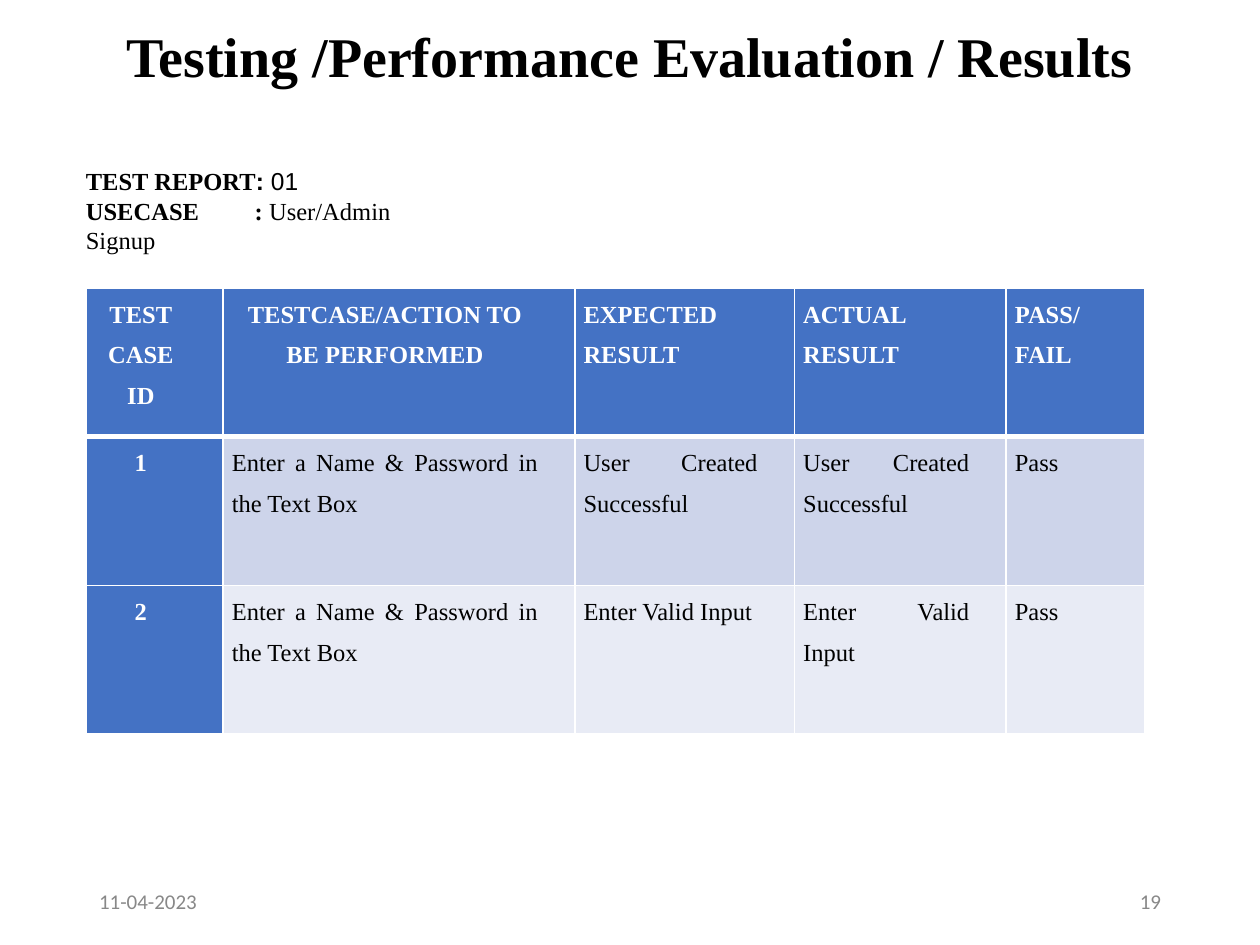
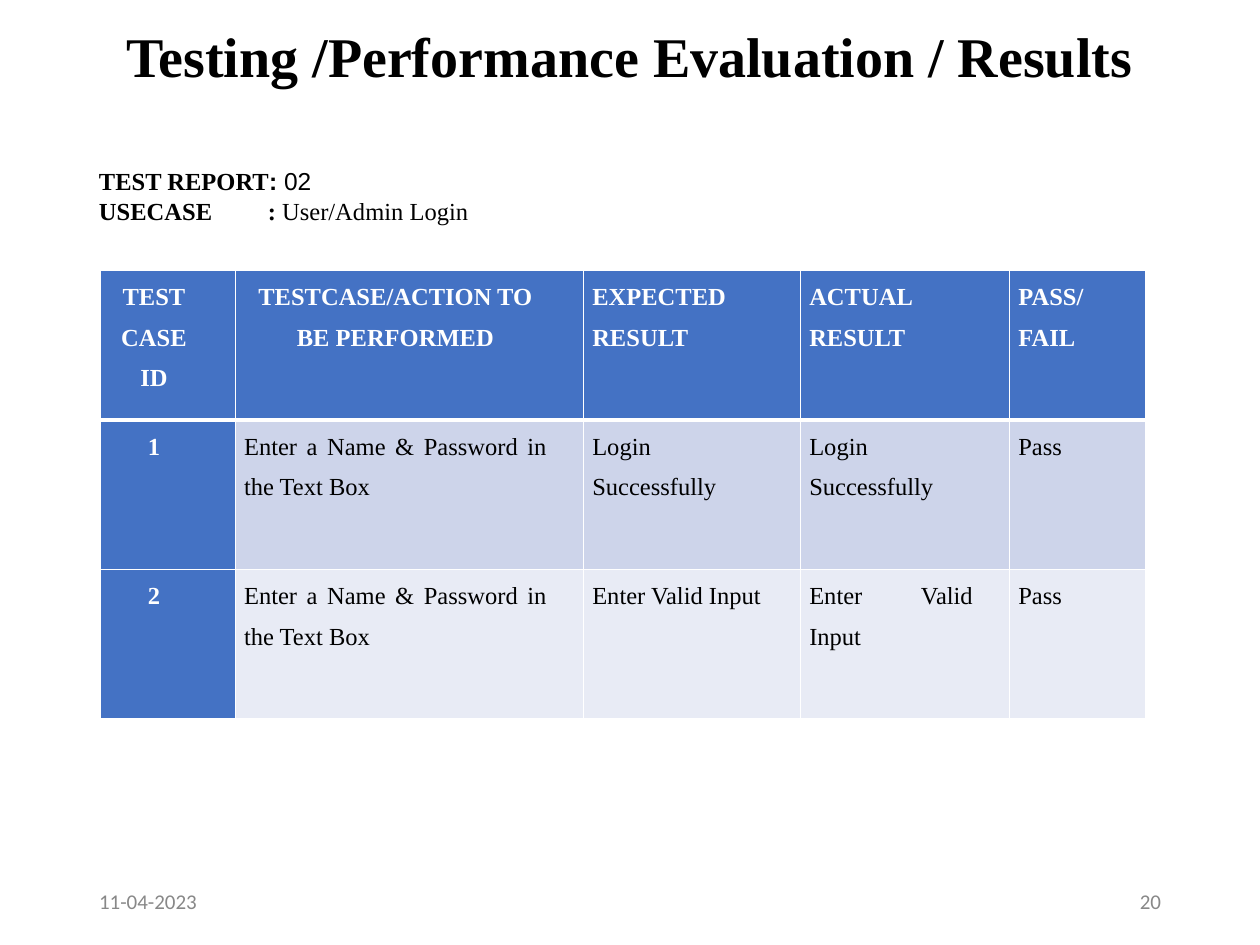
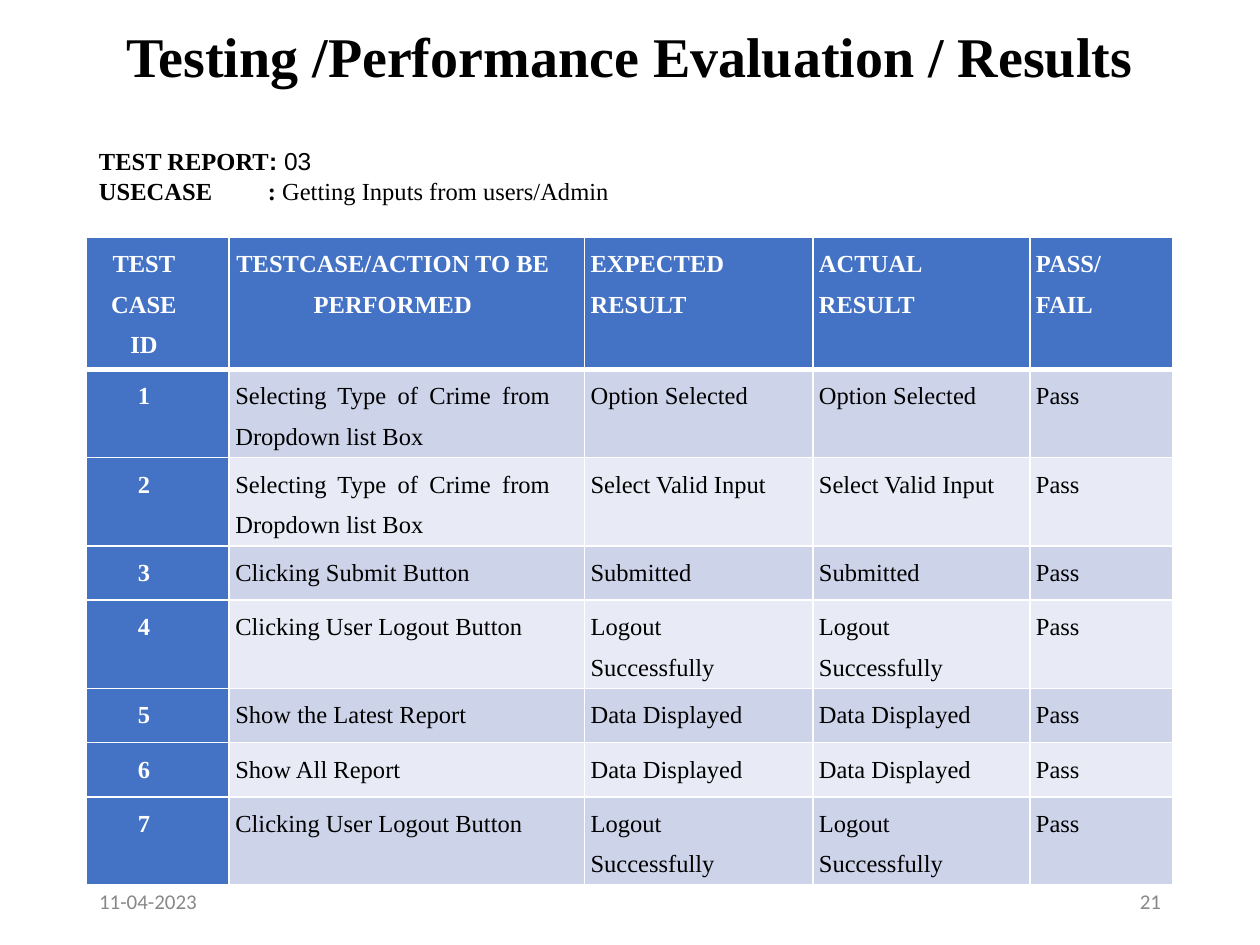
from dataclasses import dataclass

from lxml.etree import SubElement
from pptx import Presentation
from pptx.dml.color import RGBColor
from pptx.enum.text import MSO_ANCHOR, PP_ALIGN
from pptx.oxml import parse_xml
from pptx.oxml.ns import nsdecls, qn
from pptx.util import Pt


@dataclass(frozen=True)
class Theme:
    ink: str = "000000"
    muted: str = "888888"
    white: str = "FFFFFF"
    accent: str = "4472C4"
    bands: tuple = ("CDD4EA", "E8EBF5")
    serif: str = "Times New Roman"
    sans: str = "Arial"
    footer_font: str = "Calibri"
    title_size: float = 32
    body_size: float = 14
    footer_size: float = 12
    grid_line: float = 1
    header_line: float = 3


THEME = Theme()
TITLE = "Testing /Performance Evaluation / Results"
DATE = "11-04-2023"
FIRST_PAGE = 19
LEFT = 49.5
CONTENT_WIDTH = 621
FOOTER_WIDTH = 162
COLON_TAB = 96.5
CELL_INDENT = 16
HEADERS = (
    "TEST\vCASE\vID",
    "TESTCASE/ACTION TO BE PERFORMED",
    "EXPECTED RESULT",
    "ACTUAL RESULT",
    "PASS/ FAIL",
)


@dataclass(frozen=True)
class Report:
    number: str
    usecase: str
    heading_box: tuple
    table_origin: tuple
    columns: tuple
    row_heights: tuple
    cell_inset: float
    cases: tuple


NAME_ENTRY = "Enter a Name & Password in the Text Box"
CRIME_CHOICE = "Selecting Type of Crime from Dropdown list Box"
INVALID_ENTRY = (NAME_ENTRY, "Enter Valid Input")
LOGOUT = ("Clicking User Logout Button", "Logout Successfully")

REPORTS = (
    Report("01", "User/Admin Signup", (42, 91.5, 230), (LEFT, 164.5),
           (78, 201, 125.5, 121, 79), (85, 85), 5,
           ((NAME_ENTRY, "User Created Successful"), INVALID_ENTRY)),
    Report("02", "User/Admin Login", (LEFT, 91.5, 360), (57.5, 154.5),
           (77, 199, 124, 119.5, 78), (85.5, 85.5), 5,
           ((NAME_ENTRY, "Login Successfully"), INVALID_ENTRY)),
    Report("03", "Getting Inputs from users/Admin", (LEFT, 80, 360), (LEFT, 135.5),
           (81.5, 203, 130.5, 124, 82), (47.5, 31), 3.5,
           ((CRIME_CHOICE, "Option Selected"),
            (CRIME_CHOICE, "Select Valid Input"),
            ("Clicking Submit Button", "Submitted"),
            LOGOUT,
            ("Show the Latest Report", "Data Displayed"),
            ("Show All Report", "Data Displayed"),
            LOGOUT)),
)


def style_run(r, size, color, font=THEME.serif, bold=False):
    r.font.size = Pt(size)
    r.font.color.rgb = RGBColor.from_string(color)
    r.font.name = font
    r.font.bold = bold


def add_box(slide, left, top, width, height, anchor=MSO_ANCHOR.MIDDLE):
    tf = slide.shapes.add_textbox(Pt(left), Pt(top), Pt(width), Pt(height)).text_frame
    tf.word_wrap = True
    tf.vertical_anchor = anchor
    return tf


def add_title(slide):
    tf = add_box(slide, LEFT, 13, CONTENT_WIDTH, 42)
    tf.text = TITLE
    p = tf.paragraphs[0]
    p.alignment = PP_ALIGN.CENTER
    p.line_spacing = 0.9
    style_run(p.runs[0], THEME.title_size, THEME.ink, bold=True)


def add_footer(slide, page):
    right = LEFT + CONTENT_WIDTH - FOOTER_WIDTH
    for text, left, align in ((DATE, LEFT, PP_ALIGN.LEFT), (str(page), right, PP_ALIGN.RIGHT)):
        tf = add_box(slide, left, 500.5, FOOTER_WIDTH, 28.5)
        tf.text = text
        p = tf.paragraphs[0]
        p.alignment = align
        style_run(p.runs[0], THEME.footer_size, THEME.muted, THEME.footer_font)


def add_tab_stop(p, position):
    tabs = SubElement(p._p.get_or_add_pPr(), qn("a:tabLst"))
    SubElement(tabs, qn("a:tab"), pos=str(Pt(position)), algn="l")


def add_heading(slide, report):
    left, top, width = report.heading_box
    tf = add_box(slide, left, top, width, 41, MSO_ANCHOR.TOP)
    lines = (
        (("TEST REPORT", THEME.serif, True), (": ", THEME.sans, True),
         (report.number, THEME.sans, False)),
        (("USECASE\t: ", THEME.serif, True), (report.usecase, THEME.serif, False)),
    )
    for p, parts in zip((tf.paragraphs[0], tf.add_paragraph()), lines):
        add_tab_stop(p, COLON_TAB)
        for text, font, bold in parts:
            r = p.add_run()
            r.text = text
            style_run(r, THEME.body_size, THEME.ink, font, bold)


def set_borders(cell, top, bottom):
    tcPr = cell._tc.get_or_add_tcPr()
    sides = (("L", THEME.grid_line), ("R", THEME.grid_line), ("T", top), ("B", bottom))
    for i, (side, width) in enumerate(sides):
        tcPr.insert(i, parse_xml(
            f'<a:ln{side} {nsdecls("a")} w="{Pt(width)}"><a:solidFill>'
            f'<a:srgbClr val="{THEME.white}"/></a:solidFill></a:ln{side}>'))


def fill_cell(cell, text, row, col, inset):
    strong = row == 0 or col == 0
    centered = col == 0 or (row == 0 and col == 1)
    cell.margin_left = cell.margin_right = Pt(inset)
    cell.margin_top = cell.margin_bottom = 0
    cell.fill.solid()
    fill = THEME.accent if strong else THEME.bands[(row - 1) % 2]
    cell.fill.fore_color.rgb = RGBColor.from_string(fill)
    set_borders(cell,
                THEME.header_line if row == 1 else THEME.grid_line,
                THEME.header_line if row == 0 else THEME.grid_line)
    p = cell.text_frame.paragraphs[0]
    p.text = text
    p.alignment = PP_ALIGN.CENTER if centered else PP_ALIGN.JUSTIFY
    p.line_spacing = 1.5
    p._p.get_or_add_pPr().set("marR", str(Pt(CELL_INDENT)))
    for r in p.runs:
        style_run(r, THEME.body_size, THEME.white if strong else THEME.ink, bold=strong)


def add_results_table(slide, report):
    rows = [HEADERS]
    for number, (action, result) in enumerate(report.cases, 1):
        rows.append((str(number), action, result, result, "Pass"))
    header_height, case_height = report.row_heights
    left, top = report.table_origin
    height = header_height + case_height * len(report.cases)
    table = slide.shapes.add_table(len(rows), len(HEADERS), Pt(left), Pt(top),
                                   Pt(sum(report.columns)), Pt(height)).table
    table.horz_banding = False
    for column, width in zip(table.columns, report.columns):
        column.width = Pt(width)
    for i, values in enumerate(rows):
        table.rows[i].height = Pt(case_height if i else header_height)
        for j, text in enumerate(values):
            fill_cell(table.cell(i, j), text, i, j, report.cell_inset)


def main():
    prs = Presentation()
    prs.slide_width, prs.slide_height = Pt(720), Pt(540)
    for page, report in enumerate(REPORTS, FIRST_PAGE):
        slide = prs.slides.add_slide(prs.slide_layouts[6])
        add_title(slide)
        add_footer(slide, page)
        add_heading(slide, report)
        add_results_table(slide, report)
    prs.save("out.pptx")


if __name__ == "__main__":
    main()
